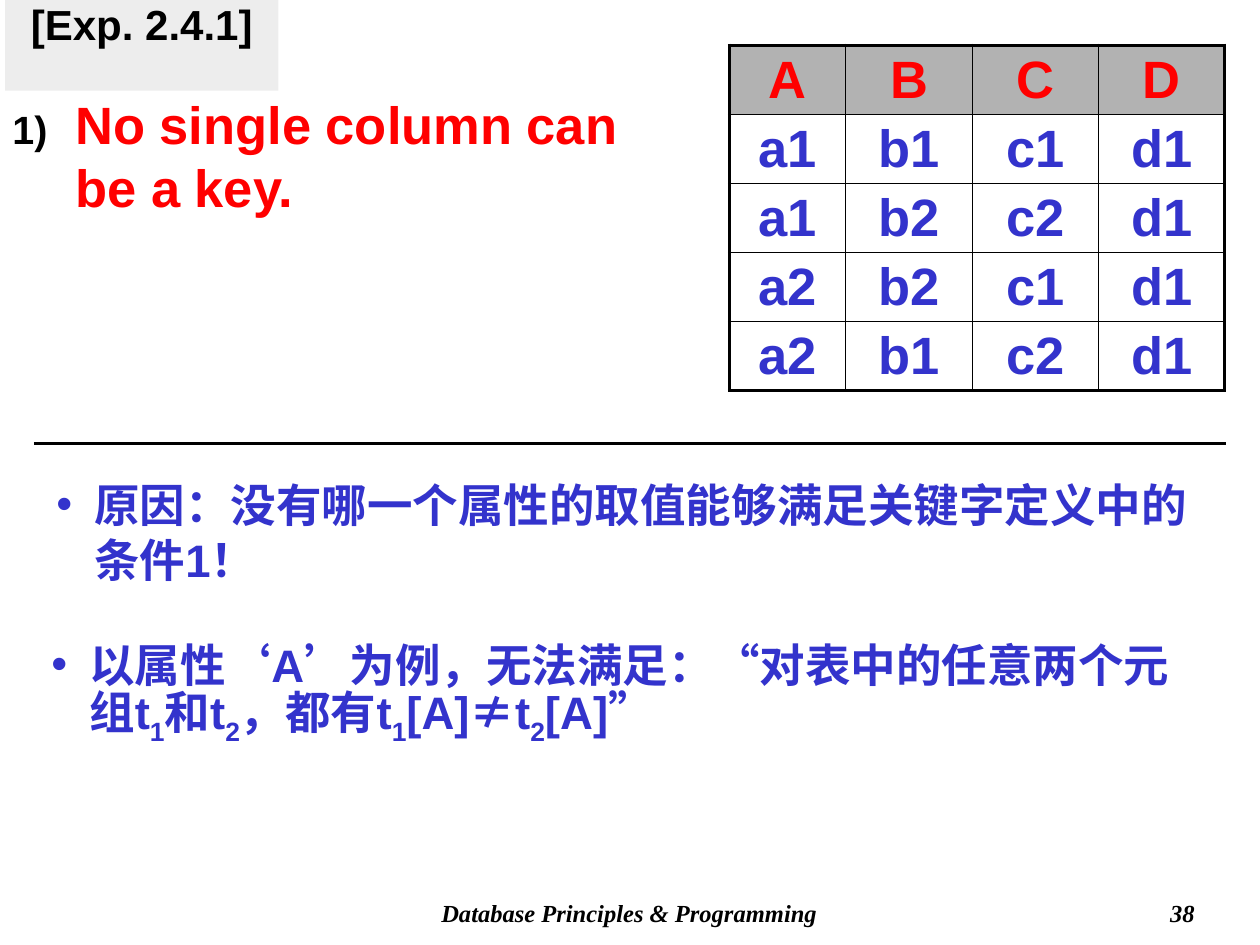
"""Build the slide showing that no single column of a table can be a key."""
from lxml.etree import SubElement
from pptx import Presentation
from pptx.dml.color import RGBColor
from pptx.enum.lang import MSO_LANGUAGE_ID
from pptx.enum.shapes import MSO_CONNECTOR
from pptx.enum.text import MSO_ANCHOR, PP_ALIGN
from pptx.oxml.ns import qn
from pptx.util import Inches, Pt

BLACK = RGBColor(0, 0, 0)
RED = RGBColor(0xFF, 0, 0)
BLUE = RGBColor(0x33, 0x33, 0xCC)
PALE_GRAY = RGBColor(0xDD, 0xDD, 0xDD)
HEADER_GRAY = RGBColor(0xB2, 0xB2, 0xB2)
SANS, SERIF, CJK = "Arial", "Times New Roman", "Noto Sans CJK SC"

TITLE = "[Exp. 2.4.1]"
CLAIM = "No single column can be a key."
ROWS = [
    ("A", "B", "C", "D"),
    ("a1", "b1", "c1", "d1"),
    ("a1", "b2", "c2", "d1"),
    ("a2", "b2", "c1", "d1"),
    ("a2", "b1", "c2", "d1"),
]
COLUMN_WIDTHS = (0.92, 1.01, 1, 1)
TABLE_HEIGHT = 2.74
REASONS = [
    (0.35, 3.73, [("原因：没有哪一个属性的取值能够满足关键字定义中的条件1！", "")]),
    (0.31, 5, [
        ("以属性‘A’为例，无法满足：“对表中的任意两个元组t", ""), ("1", "sub"),
        ("和t", ""), ("2", "sub"), ("，都有t", ""), ("1", "sub"), ("[A]", ""),
        ("≠", "cjk"), ("t", ""), ("2", "sub"), ("[A]”", ""),
    ]),
]
FOOTERS = [
    ("Database Principles & Programming", 2.83, 4.33, PP_ALIGN.CENTER),
    ("38", 7.5, 2.08, PP_ALIGN.RIGHT),
]


def add_span(para, text, size, color, face=SANS, italic=False):
    span = para.add_run()
    span.text = text
    font = span.font
    font.size, font.bold, font.italic, font.name = Pt(size), True, italic, face
    font.color.rgb = color
    SubElement(font._element, qn("a:ea"), typeface=CJK)
    return span


def add_text_box(page, left, top, width, height):
    frame = page.shapes.add_textbox(*map(Inches, (left, top, width, height))).text_frame
    frame.word_wrap = True
    return frame.paragraphs[0]


def set_marker(para, marker, indent, color, percent=100):
    properties = para._p.get_or_add_pPr()
    properties.set("marL", str(Inches(indent)))
    properties.set("indent", str(-Inches(indent)))
    bullet_color = SubElement(properties, qn("a:buClr"))
    SubElement(bullet_color, qn("a:srgbClr"), val=str(color))
    SubElement(properties, qn("a:buSzPct"), val=str(percent * 1000))
    SubElement(properties, qn("a:buFont"), typeface=SANS)
    if marker == "•":
        SubElement(properties, qn("a:buChar"), char=marker)
    else:
        SubElement(properties, qn("a:buAutoNum"), type=marker)


def set_borders(cell, outer_sides):
    properties = cell._tc.get_or_add_tcPr()
    for side in "LRTB":
        width = Pt(2.25 if side in outer_sides else 1)
        border = SubElement(properties, qn(f"a:ln{side}"), w=str(width))
        fill = SubElement(border, qn("a:solidFill"))
        SubElement(fill, qn("a:srgbClr"), val=str(BLACK))


def add_title(page):
    title = page.shapes.title
    title.left, title.top, title.width, title.height = map(Inches, (0.04, -0.01, 2.17, 0.73))
    title.fill.solid()
    title.fill.fore_color.rgb = PALE_GRAY
    color = title.fill._xPr.find(f".//{qn('a:srgbClr')}")
    SubElement(color, qn("a:alpha"), val="50000")
    frame = title.text_frame
    frame.vertical_anchor = MSO_ANCHOR.TOP
    frame.margin_top = frame.margin_bottom = 0
    para = frame.paragraphs[0]
    para.alignment = PP_ALIGN.CENTER
    para.line_spacing = 1.0
    add_span(para, TITLE, 24, BLACK)


def add_relation(page):
    size = (5.79, 0.36, sum(COLUMN_WIDTHS), TABLE_HEIGHT)
    table = page.shapes.add_table(len(ROWS), len(COLUMN_WIDTHS), *map(Inches, size)).table
    for column, width in zip(table.columns, COLUMN_WIDTHS):
        column.width = Inches(width)
    for r, values in enumerate(ROWS):
        table.rows[r].height = Inches(TABLE_HEIGHT / len(ROWS))
        for c, value in enumerate(values):
            cell = table.cell(r, c)
            edges = {"L": c == 0, "R": c == len(values) - 1, "T": r == 0, "B": r == len(ROWS) - 1}
            set_borders(cell, [side for side, outer in edges.items() if outer])
            if r == 0:
                cell.fill.solid()
                cell.fill.fore_color.rgb = HEADER_GRAY
            else:
                cell.fill.background()
            cell.vertical_anchor = MSO_ANCHOR.MIDDLE
            cell.margin_top = cell.margin_bottom = 0
            para = cell.text_frame.paragraphs[0]
            para.alignment = PP_ALIGN.CENTER
            add_span(para, value, 30, RED if r == 0 else BLUE)


def add_divider(page):
    ends = map(Inches, (0.27, 3.52, 9.73, 3.52))
    divider = page.shapes.add_connector(MSO_CONNECTOR.STRAIGHT, *ends)
    divider.line.color.rgb = BLACK
    divider.line.width = Pt(2.25)
    SubElement(divider._element.spPr, qn("a:effectLst"))


def main():
    deck = Presentation()
    deck.slide_width, deck.slide_height = Inches(10), Inches(7.5)
    page = deck.slides.add_slide(deck.slide_layouts[5])
    add_title(page)
    add_relation(page)

    claim = add_text_box(page, 0, 0.68, 5.47, 1.1)
    set_marker(claim, "arabicParenR", 0.5, BLACK, 75)
    claim.line_spacing = 1.0
    add_span(claim, CLAIM, 30, RED)

    add_divider(page)
    for left, top, spans in REASONS:
        reason = add_text_box(page, left, top, 9.37, 0.98)
        set_marker(reason, "•", 0.3, BLUE)
        reason.line_spacing = Pt(31.5)
        for text, kind in spans:
            span = add_span(reason, text, 26, BLUE, CJK if kind == "cjk" else SANS)
            span.font.language_id = MSO_LANGUAGE_ID.SIMPLIFIED_CHINESE
            if kind == "sub":
                span.font._element.set("baseline", "-25000")

    for text, left, width, alignment in FOOTERS:
        footer = add_text_box(page, left, 7.08, width, 0.33)
        footer.alignment = alignment
        add_span(footer, text, 14, BLACK, SERIF, italic=True)
    deck.save("out.pptx")


if __name__ == "__main__":
    main()
